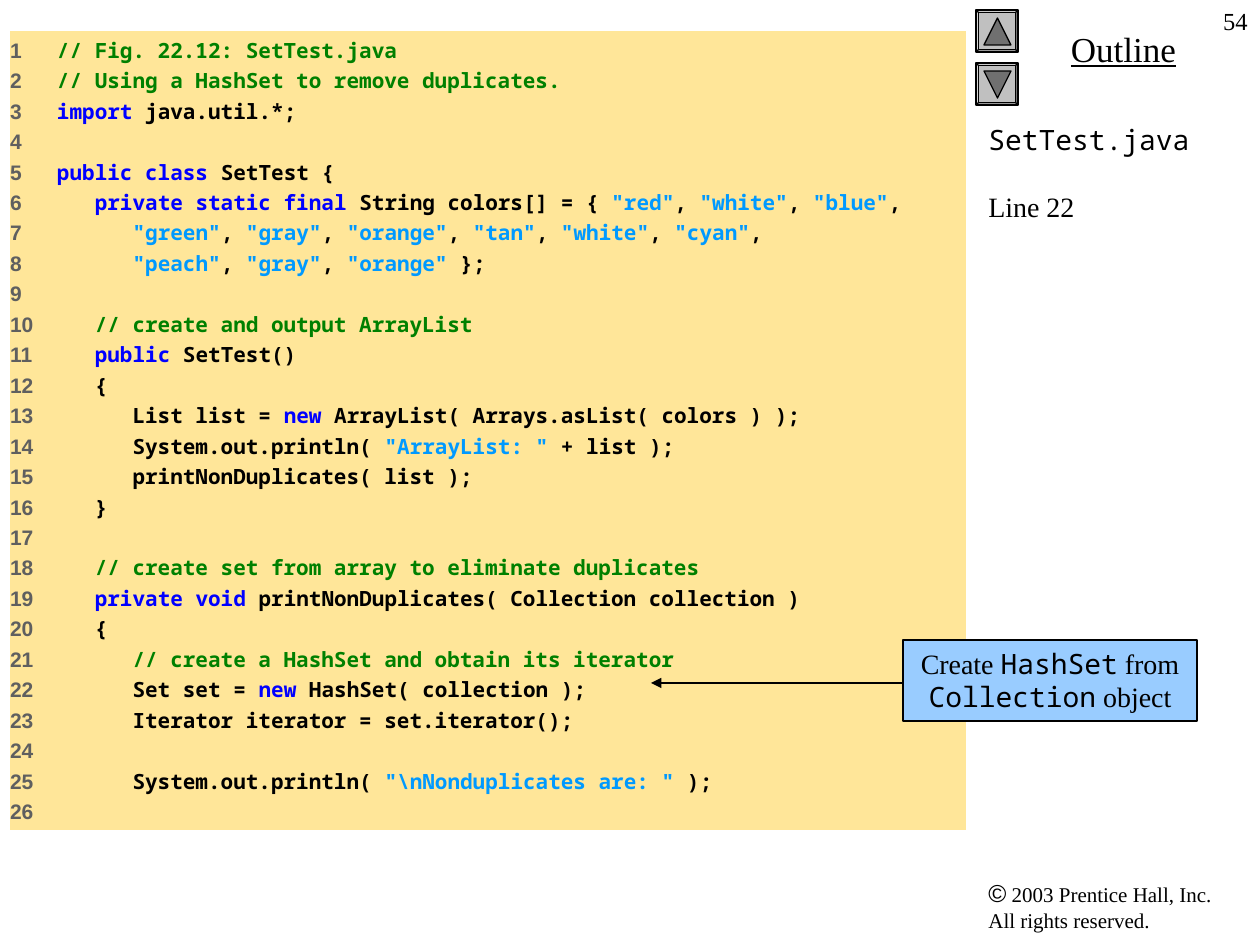
from itertools import groupby

from lxml.etree import SubElement
from pptx import Presentation
from pptx.dml.color import RGBColor
from pptx.enum.shapes import MSO_CONNECTOR, MSO_SHAPE
from pptx.enum.text import MSO_ANCHOR, PP_ALIGN
from pptx.oxml.ns import qn
from pptx.util import Emu, Pt

BLACK = RGBColor(0, 0, 0)
GRAY = RGBColor(0x5F, 0x5F, 0x5F)
SILVER = RGBColor(0xC0, 0xC0, 0xC0)
DARK = RGBColor(0x70, 0x70, 0x70)
GREEN = RGBColor(0, 0x80, 0)
BLUE = RGBColor(0, 0, 0xFF)
AZURE = RGBColor(0, 0x99, 0xFF)
CREAM = RGBColor(0xFF, 0xE6, 0x99)
SKY = RGBColor(0x99, 0xCC, 0xFF)

SCALE = 914400 // 126
SERIF, MONO, SANS = "Times New Roman", "Noto Sans Mono", "Arial"
KEYS = {"import", "public", "class", "private", "static", "final", "new", "void"}

CODE = r'''// Fig. 22.12: SetTest.java
// Using a HashSet to remove duplicates.
import java.util.*;

public class SetTest {
   private static final String colors[] = { "red", "white", "blue",
      "green", "gray", "orange", "tan", "white", "cyan",
      "peach", "gray", "orange" };

   // create and output ArrayList
   public SetTest()
   {
      List list = new ArrayList( Arrays.asList( colors ) );
      System.out.println( "ArrayList: " + list );
      printNonDuplicates( list );
   }

   // create set from array to eliminate duplicates
   private void printNonDuplicates( Collection collection )
   {
      // create a HashSet and obtain its iterator
      Set set = new HashSet( collection );
      Iterator iterator = set.iterator();

      System.out.println( "\nNonduplicates are: " );
'''


def px(n):
    return Emu(n * SCALE)


def tokens(line):
    if line.strip().startswith("//"):
        yield line, GREEN
        return
    for i, part in enumerate(line.split('"')):
        if i % 2:
            yield f'"{part}"', AZURE
            continue
        words = [word + " " for word in part.split(" ")]
        words[-1] = words[-1][:-1]
        for key, group in groupby(words, lambda word: word.strip() in KEYS):
            text = "".join(group)
            if text:
                yield text, BLUE if key else BLACK


class Page:
    def __init__(self, slide):
        self.shapes = slide.shapes

    def shape(self, kind, x, y, w, h, fill, edge=True):
        item = self.shapes.add_shape(kind, px(x), px(y), px(w), px(h))
        item.shadow.inherit = False
        item.fill.solid()
        item.fill.fore_color.rgb = fill
        if edge:
            item.line.color.rgb = BLACK
            item.line.width = Pt(0.75)
        else:
            item.line.fill.background()
        return item

    def frame(self, item):
        frame = item.text_frame
        frame.word_wrap = True
        frame.vertical_anchor = MSO_ANCHOR.TOP
        return frame

    def box(self, x, y, w, h):
        return self.frame(self.shapes.add_textbox(px(x), px(y), px(w), px(h)))

    def fill(self, para, size, runs, align=PP_ALIGN.LEFT, pitch=None):
        para.alignment = align
        para.line_spacing = pitch
        para.font.size = Pt(size)
        para.font.color.rgb = BLACK
        if len(runs) == 1:
            para.font.name = runs[0][1]
        for text, face in runs:
            if text == "\n":
                para.add_line_break()
                continue
            run = para.add_run()
            run.text = text
            if len(runs) > 1:
                run.font.name = face
        return para

    def button(self, y, turn):
        bevel = self.shape(MSO_SHAPE.BEVEL, 976, y, 42, 42, SILVER)
        bevel.adjustments[0] = 0.06
        mark = self.shape(MSO_SHAPE.ISOSCELES_TRIANGLE, 984, y + 8, 27, 27, DARK)
        mark.rotation = turn

    def code(self, x, y, w, h, text):
        frame = self.frame(self.shape(MSO_SHAPE.RECTANGLE, x, y, w, h, CREAM, False))
        frame.margin_left = 0
        for num, line in enumerate(text.split("\n"), 1):
            para = frame.paragraphs[0] if num == 1 else frame.add_paragraph()
            para.alignment = PP_ALIGN.LEFT
            para.line_spacing = Pt(14.4)
            if num > 1:
                para.space_before = Pt(3)
            tabs = SubElement(para._p.get_or_add_pPr(), qn("a:tabLst"))
            SubElement(tabs, qn("a:tab"), pos=str(px(47)), algn="l")
            para.font.size = Pt(12)
            para.font.bold = True
            runs = [(str(num) + ("\t" if line else ""), GRAY, SANS)]
            if line:
                runs += [(part, color, MONO) for part, color in tokens(line)]
            for part, color, face in runs:
                run = para.add_run()
                run.text = part
                run.font.name = face
                run.font.color.rgb = color

    def arrow(self, x, y, end):
        line = self.shapes.add_connector(
            MSO_CONNECTOR.STRAIGHT, px(x), px(y), px(end), px(y))
        line.line.color.rgb = BLACK
        line.line.width = Pt(0.75)
        SubElement(line.line._get_or_add_ln(), qn("a:tailEnd"), type="triangle")
        SubElement(line._element.spPr, qn("a:effectLst"))


def main():
    deck = Presentation()
    deck.slide_width, deck.slide_height = px(1260), px(945)
    page = Page(deck.slides.add_slide(deck.slide_layouts[6]))

    para = page.fill(page.box(976, 872, 273, 68).paragraphs[0], 12, [
        ("©", SANS), (" 2003 Prentice Hall, Inc.", SERIF),
        ("\n", SERIF), ("All rights reserved.", SERIF)])
    para.runs[0].font.size = Pt(14)

    para = page.fill(page.box(987, 21, 273, 55).paragraphs[0], 20,
                     [("Outline", SERIF)], PP_ALIGN.CENTER)
    para.font.underline = True

    page.button(10, 0)
    page.button(63, 180)
    page.fill(page.box(1197, 0, 63, 63).paragraphs[0], 14,
              [("54", SERIF)], PP_ALIGN.RIGHT)

    frame = page.box(976, 116, 284, 756)
    page.fill(frame.paragraphs[0], 16, [("SetTest.java", MONO)], pitch=Pt(19.2))
    para = page.fill(frame.add_paragraph(), 16, [("Line 22", SERIF)], pitch=Pt(19.2))
    para.space_before = Pt(19.2)

    page.code(10, 31, 956, 799, CODE)
    page.arrow(903, 683, 651)
    note = page.shape(MSO_SHAPE.RECTANGLE, 903, 640, 294, 81, SKY)
    page.fill(page.frame(note).paragraphs[0], 16, [
        ("Create ", SERIF), ("HashSet", MONO), (" from ", SERIF),
        ("Collection", MONO), (" object", SERIF)], PP_ALIGN.CENTER, Pt(19.2))

    deck.save("out.pptx")


if __name__ == "__main__":
    main()
